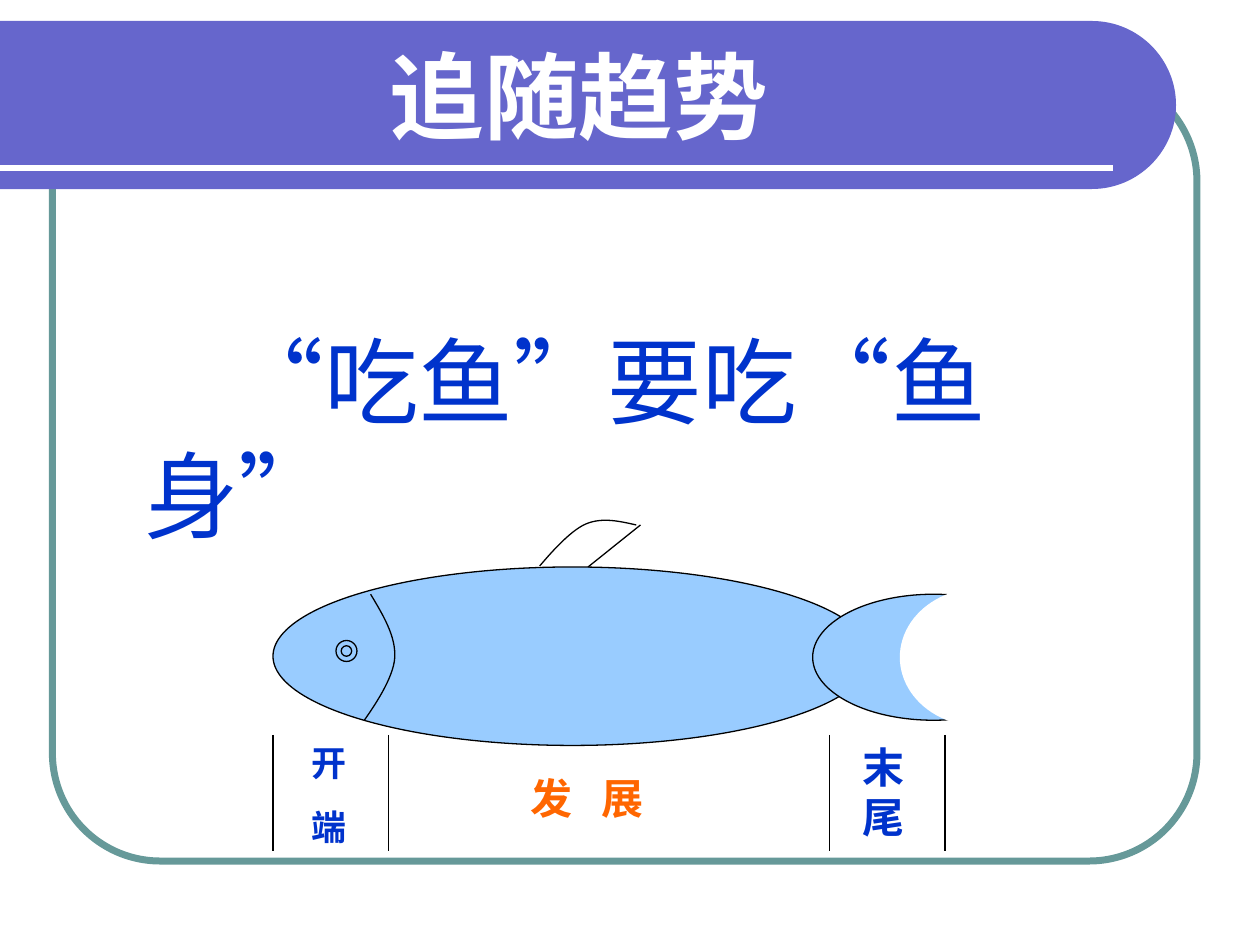
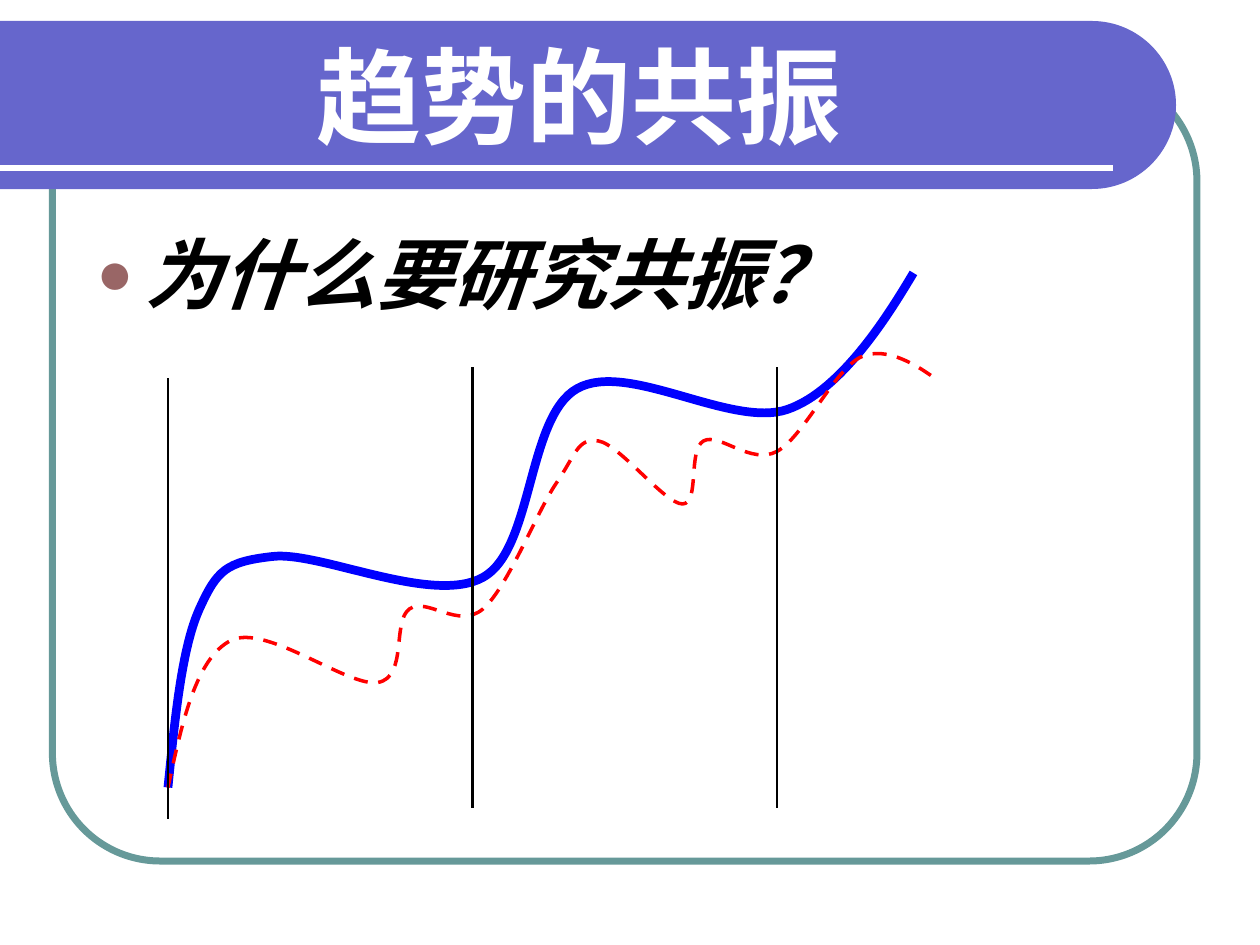
from lxml.etree import Element, SubElement
from pptx import Presentation
from pptx.dml.color import RGBColor
from pptx.enum.dml import MSO_LINE
from pptx.enum.shapes import MSO_CONNECTOR, MSO_SHAPE as SHAPE
from pptx.enum.text import MSO_ANCHOR as ANCHOR, PP_ALIGN as ALIGN
from pptx.oxml.ns import qn
from pptx.util import Inches, Pt

WHITE = RGBColor(0xFF, 0xFF, 0xFF)
BLACK = RGBColor(0, 0, 0)
BAND = RGBColor(0x66, 0x66, 0xCC)
FRAME = RGBColor(0x66, 0x99, 0x99)
BULLET = RGBColor(0x99, 0x66, 0x66)
TEXT_BLUE = RGBColor(0x00, 0x33, 0xCC)
ORANGE = RGBColor(0xFF, 0x66, 0x00)
FISH = RGBColor(0x99, 0xCC, 0xFF)
TREND_BLUE = RGBColor(0, 0, 0xFF)
TREND_RED = RGBColor(0xFF, 0, 0)

LATIN, CJK = "Arial", "Noto Sans CJK SC"
COLS, ROWS = 120, 90  # grid of twelfths of an inch
HANG = Inches(0.38)


def grid(*lengths):
    return [Inches(n / 12) for n in lengths]


def style(shape, fill=None, line=None, width=0.75, dash=None):
    shape.shadow.inherit = False
    if fill is None:
        shape.fill.background()
    else:
        shape.fill.solid()
        shape.fill.fore_color.rgb = fill
    if line is None:
        shape.line.fill.background()
    else:
        shape.line.color.rgb = line
        shape.line.width = Pt(width)
        if dash:
            shape.line.dash_style = dash


def add_preset(s, kind, box, adj=None, **look):
    sp = s.shapes.add_shape(kind, *grid(*box))
    if adj is not None:
        sp.adjustments[0] = adj
    style(sp, **look)


def add_line(s, start, end, color=BLACK, width=0.75):
    c = s.shapes.add_connector(MSO_CONNECTOR.STRAIGHT, *grid(*start, *end))
    c.line.color.rgb = color
    c.line.width = Pt(width)
    SubElement(c._element.spPr, qn("a:effectLst"))


def add_outline(s, start, segments, close=False, **look):
    """Draw segments: one point makes a line, three points make a Bezier curve."""
    builder = s.shapes.build_freeform(*grid(*start))
    builder.add_line_segments([grid(*seg[-1]) for seg in segments], close=close)
    sp = builder.convert_to_shape()
    for line, seg in zip(list(sp._element.iter(qn("a:lnTo"))), segments):
        if len(seg) == 3:
            curve = Element(qn("a:cubicBezTo"))
            for x, y in (grid(*point) for point in seg):
                pt = SubElement(curve, qn("a:pt"))
                pt.set("x", str(x - sp.left))
                pt.set("y", str(y - sp.top))
            line.getparent().replace(line, curve)
    style(sp, **look)


def between(a, b, share):
    return tuple(p + (q - p) * share for p, q in zip(a, b))


def add_curve(s, x, y, points, **look):
    """Draw a smooth curve through points given relative to (x, y)."""
    knots = [(x + px, y + py) for px, py in points]
    arms = []
    for a, b, c in zip(knots, knots[1:], knots[2:]):
        reach = [(r - p) / 6 for p, r in zip(a, c)]
        arms.append([tuple(q - d for q, d in zip(b, reach)),
                     tuple(q + d for q, d in zip(b, reach))])
    leaving = [between(knots[0], arms[0][0], 0.5)] + [arm[1] for arm in arms]
    arriving = [arm[0] for arm in arms] + [between(arms[-1][1], knots[-1], 0.7)]
    add_outline(s, knots[0], list(zip(leaving, arriving, knots[1:])), **look)


def add_text(s, box, lines, size, color, name=LATIN, asian=None,
             align=ALIGN.LEFT, anchor=ANCHOR.TOP, gap=0, spacing=None, **font):
    """Add a text box, with gap points between its lines, and return it."""
    tb = s.shapes.add_textbox(*grid(*box))
    tf = tb.text_frame
    tf.word_wrap = True
    tf.vertical_anchor = anchor
    for i, line in enumerate(lines):
        p = tf.paragraphs[0] if i == 0 else tf.add_paragraph()
        p.alignment = align
        p.line_spacing = Pt(size * 1.2)
        p.space_before = Pt(gap if i else 0)
        r = p.add_run()
        r.text = line
        for key, value in dict(font, name=name, size=Pt(size)).items():
            setattr(r.font, key, value)
        r.font.color.rgb = color
        rPr = r.font._element
        SubElement(rPr, qn("a:ea")).set("typeface", asian or name)
        if spacing:
            rPr.set("spc", str(spacing))
    return tb


def set_indent(tb, left, first, bullet=None):
    pPr = tb.text_frame.paragraphs[0]._p.get_or_add_pPr()
    pPr.set("marL", str(left))
    pPr.set("indent", str(first))
    if bullet:
        color = SubElement(pPr, qn("a:buClr"))
        SubElement(color, qn("a:srgbClr")).set("val", str(BULLET))
        SubElement(pPr, qn("a:buSzPct")).set("val", "80000")
        SubElement(pPr, qn("a:buFont")).set("typeface", LATIN)
        SubElement(pPr, qn("a:buChar")).set("char", bullet)


def add_base(prs, title, size):
    """Add a slide with the shared frame, title band and title."""
    s = prs.slides.add_slide(prs.slide_layouts[6])
    add_preset(s, SHAPE.ROUNDED_RECTANGLE, (5, 7, 109, 75), adj=0.137,
               line=FRAME, width=4)
    add_outline(s, (0, 2), [
        [(104, 2)],
        [(108.4, 2), (112, 5.6), (112, 10)],
        [(112, 14.4), (108.4, 18), (104, 18)],
        [(0, 18)]], close=True, fill=BAND)
    add_line(s, (0, 16), (106, 16), WHITE, 3)
    add_text(s, (2.5, 3, 105.2, 12), [title], size, WHITE, bold=True,
             align=ALIGN.CENTER, anchor=ANCHOR.MIDDLE)
    return s


def add_fish(s, x, y):
    ink = {"fill": FISH, "line": BLACK}
    for kind, (left, top, w, h), look in (
            (SHAPE.OVAL, (0, 0, 57, 17), ink),
            (SHAPE.OVAL, (51.4, 2.6, 23, 12), ink),
            (SHAPE.OVAL, (59.7, 2, 15.4, 13.2), {"fill": WHITE}),
            (SHAPE.DONUT, (6, 7, 2, 2), ink)):
        add_preset(s, kind, (x + left, y + top, w, h), **look)
    gill = [(9.3, 2.6), (11.6, 8.6), (8.7, 14.6)]
    fin = [(34.6, -4), (29.8, -4.1), (25.4, -0.1)]
    for points in (gill, fin):
        add_curve(s, x, y, points, line=BLACK)
    add_line(s, (x + 35, y - 4), (x + 30, y))


def add_stages(s, x, y):
    """Mark the parts of the fish above with dividers and labels."""
    for column in (0, 11, 53, 64):
        add_line(s, (x + column, y), (x + column, y + 11))
    add_text(s, (x + 0.8, y, 9, 11), ["开", "端"], 20, TEXT_BLUE,
             align=ALIGN.CENTER, gap=12.5, bold=True)
    add_text(s, (x + 23.35, y + 3, 24, 6), ["发 展"], 24, ORANGE, CJK,
             spacing=560, bold=True)
    add_text(s, (x + 55, y, 10, 11), ["末尾"], 24, TEXT_BLUE, CJK, bold=True)


def add_trends(s, x, y):
    main_trend = [(0, 49), (3, 32), (10, 27), (30, 29), (39, 11), (59, 13),
                  (71, 0)]
    minor_trend = [(0, 49), (6, 35), (20, 39), (23, 32), (30, 32), (37, 20),
                   (41, 16), (49, 22), (51, 16), (58, 17), (66, 8), (73, 10)]
    add_curve(s, x, y, main_trend, line=TREND_BLUE, width=5)
    add_curve(s, x, y, minor_trend, line=TREND_RED, width=2,
              dash=MSO_LINE.DASH)
    for i, top in enumerate((10, 9, 9)):
        column = x + 29 * i
        add_line(s, (column, y + top), (column, y + top + 42), width=1.5)


def build_fish_slide(prs):
    s = add_base(prs, "追随趋势", 54)
    tb = add_text(s, (8, 30.2, 104, 28), ["“吃鱼”要吃“鱼身”"], 54, TEXT_BLUE,
                  asian=CJK)
    set_indent(tb, HANG, Inches(0.68))
    add_fish(s, 26, 54)
    add_stages(s, 26, 70)


def build_resonance_slide(prs):
    s = add_base(prs, "趋势的共振", 60)
    tb = add_text(s, (8, 21, 104, 58), ["为什么要研究共振？"], 44, BLACK,
                  bold=True, italic=True)
    set_indent(tb, HANG, -HANG, "●")
    add_trends(s, 16, 26)


def main():
    prs = Presentation()
    prs.slide_width, prs.slide_height = grid(COLS, ROWS)
    build_fish_slide(prs)
    build_resonance_slide(prs)
    prs.save("out.pptx")


if __name__ == "__main__":
    main()
